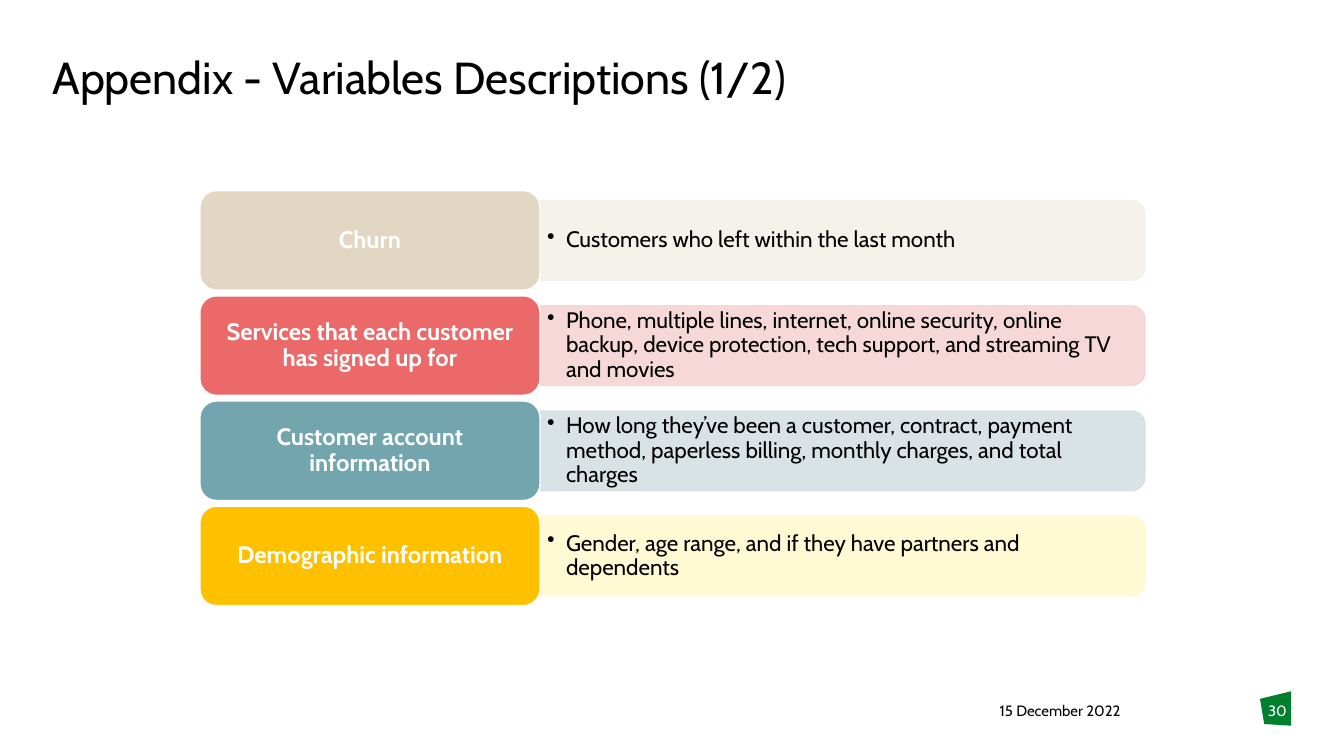
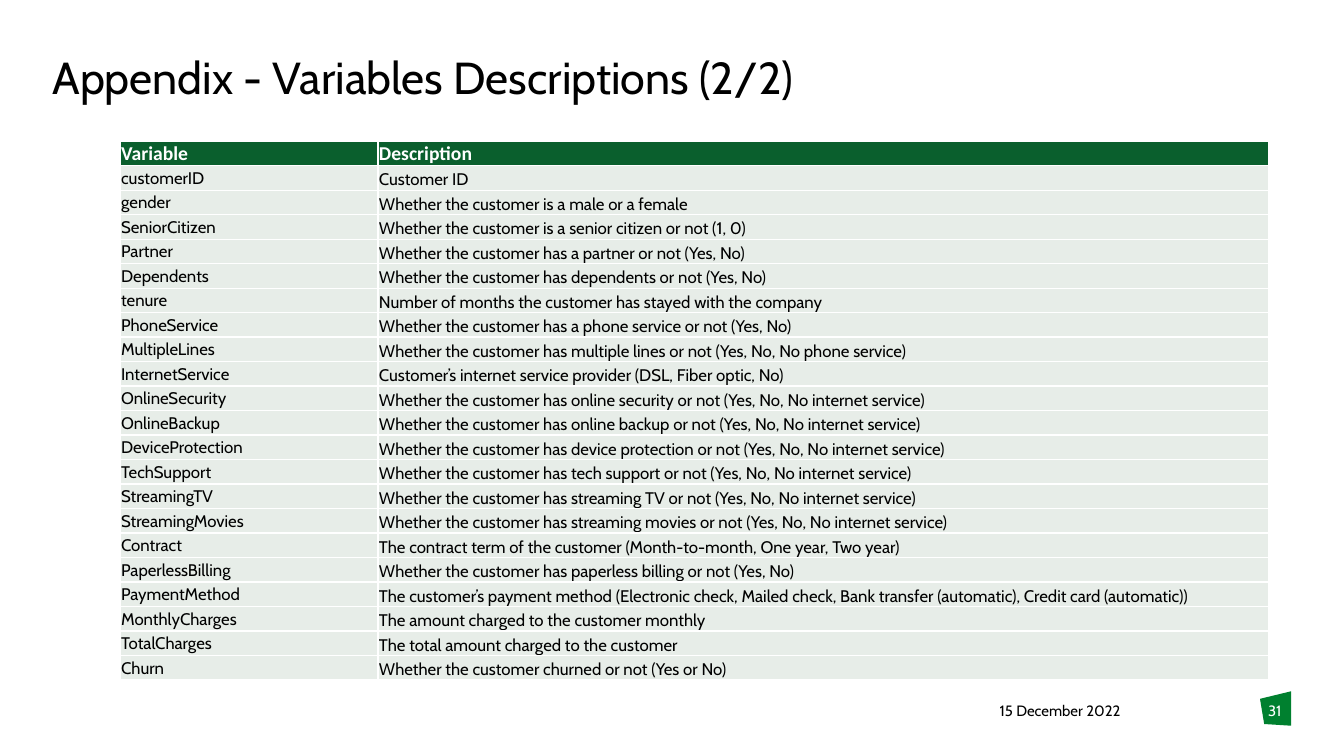
import lxml.etree
import pptx
import pptx.dml.color
import pptx.enum.shapes
import pptx.enum.text
import pptx.oxml.ns
import pptx.util

RGBColor = pptx.dml.color.RGBColor
Pt = pptx.util.Pt
qn = pptx.oxml.ns.qn
Align = pptx.enum.text.PP_ALIGN
Anchor = pptx.enum.text.MSO_ANCHOR
Preset = pptx.enum.shapes.MSO_SHAPE

BLACK = RGBColor(0x00, 0x00, 0x00)
WHITE = RGBColor(0xFF, 0xFF, 0xFF)
BADGE_GREEN = RGBColor(0x00, 0x80, 0x2F)
HEADER_GREEN = RGBColor(0x0A, 0x5F, 0x2D)
ROW_GREEN = RGBColor(0xE7, 0xED, 0xE8)
SAND = RGBColor(0xE1, 0xD7, 0xC3)
SAND_TINT = RGBColor(0xF4, 0xF0, 0xE9)
CORAL = RGBColor(0xEB, 0x69, 0x69)
CORAL_TINT = RGBColor(0xF7, 0xD4, 0xD4)
TEAL = RGBColor(0x73, 0xA5, 0xAF)
TEAL_TINT = RGBColor(0xD5, 0xE1, 0xE3)
AMBER = RGBColor(0xFF, 0xC0, 0x00)
AMBER_TINT = RGBColor(0xFF, 0xF9, 0xD0)

WIDTH, HEIGHT = pptx.util.Inches(13.33), pptx.util.Inches(7.5)
COLUMNS, ROWS = 160, 90
DATE = "15 December 2022"

GROUPS = [
    ("Churn", "Customers who left within the last month", SAND, SAND_TINT),
    ("Services that each customer has signed up for",
     "Phone, multiple lines, internet, online security, online backup, device protection, "
     "tech support, and streaming TV and movies", CORAL, CORAL_TINT),
    ("Customer account information",
     "How long they’ve been a customer, contract, payment method, paperless billing, "
     "monthly charges, and total charges", TEAL, TEAL_TINT),
    ("Demographic information",
     "Gender, age range, and if they have partners and dependents", AMBER, AMBER_TINT),
]

VARIABLES = [
    ("Variable", "Description"),
    ("customerID", "Customer ID"),
    ("gender", "Whether the customer is a male or a female"),
    ("SeniorCitizen", "Whether the customer is a senior citizen or not (1, 0)"),
    ("Partner", "Whether the customer has a partner or not (Yes, No)"),
    ("Dependents", "Whether the customer has dependents or not (Yes, No)"),
    ("tenure", "Number of months the customer has stayed with the company"),
    ("PhoneService", "Whether the customer has a phone service or not (Yes, No)"),
    ("MultipleLines", "Whether the customer has multiple lines or not (Yes, No, No phone service)"),
    ("InternetService", "Customer’s internet service provider (DSL, Fiber optic, No)"),
    ("OnlineSecurity", "Whether the customer has online security or not (Yes, No, No internet service)"),
    ("OnlineBackup", "Whether the customer has online backup or not (Yes, No, No internet service)"),
    ("DeviceProtection", "Whether the customer has device protection or not (Yes, No, No internet service)"),
    ("TechSupport", "Whether the customer has tech support or not (Yes, No, No internet service)"),
    ("StreamingTV", "Whether the customer has streaming TV or not (Yes, No, No internet service)"),
    ("StreamingMovies", "Whether the customer has streaming movies or not (Yes, No, No internet service)"),
    ("Contract", "The contract term of the customer (Month-to-month, One year, Two year)"),
    ("PaperlessBilling", "Whether the customer has paperless billing or not (Yes, No)"),
    ("PaymentMethod", "The customer’s payment method (Electronic check, Mailed check, "
     "Bank transfer (automatic), Credit card (automatic))"),
    ("MonthlyCharges", "The amount charged to the customer monthly"),
    ("TotalCharges", "The total amount charged to the customer"),
    ("Churn", "Whether the customer churned or not (Yes or No)"),
]


def across(columns):
    return round(WIDTH * columns / COLUMNS)


def down(rows):
    return round(HEIGHT * rows / ROWS)


def area(left, top, width, height):
    return across(left), down(top), across(width), down(height)


def margins(horizontal, vertical):
    return {"margin_left": across(horizontal), "margin_right": across(horizontal),
            "margin_top": down(vertical), "margin_bottom": down(vertical)}


def apply_format(target, values):
    for name, value in values.items():
        setattr(target, name, value)


class Deck:
    fonts = {
        "title": {"name": "Cabin", "size": Pt(32), "bold": False},
        "footer": {"name": "Cabin", "size": Pt(10.7), "bold": False},
        "tab": {"name": "Cabin", "size": Pt(17), "bold": True},
        "detail": {"name": "Cabin", "size": Pt(16), "bold": False},
        "header": {"name": "Calibri", "size": Pt(14), "bold": True},
        "body": {"name": "Cabin", "size": Pt(12), "bold": False},
    }
    paragraphs = {
        "title": {"alignment": Align.LEFT, "line_spacing": 0.9},
        "tab": {"alignment": Align.CENTER, "line_spacing": 0.9},
        "detail": {"alignment": Align.LEFT, "line_spacing": 0.9},
    }
    frames = {
        "title": {"vertical_anchor": Anchor.TOP, "word_wrap": True,
                  "auto_size": pptx.enum.text.MSO_AUTO_SIZE.NONE, **margins(0, 0)},
        "footer": {"vertical_anchor": Anchor.TOP, "word_wrap": True, **margins(0, 0)},
        "tab": {"vertical_anchor": Anchor.MIDDLE, "word_wrap": True, **margins(1.4, 1)},
        "detail": {"vertical_anchor": Anchor.MIDDLE, "word_wrap": True, **margins(0.84, 0.4)},
    }

    def __init__(self):
        self.presentation = pptx.Presentation()
        apply_format(self.presentation, {"slide_width": WIDTH, "slide_height": HEIGHT})
        self.slide = None

    def fill_text(self, frame, text, style, color=BLACK):
        apply_format(frame, self.frames.get(style, {}))
        paragraph = frame.paragraphs[0]
        apply_format(paragraph, self.paragraphs.get(style, {}))
        run = paragraph.add_run()
        run.text = text
        apply_format(run.font, self.fonts[style])
        run.font.color.rgb = color
        return paragraph

    def add_slide(self, title, number):
        self.slide = self.presentation.slides.add_slide(self.presentation.slide_layouts[5])
        placeholder = self.slide.shapes.title
        place = zip(("left", "top", "width", "height"), area(6.24, 6.6, 147.5, 10.7))
        apply_format(placeholder, dict(place))
        self.fill_text(placeholder.text_frame, title, "title")
        self.badge()
        self.text(DATE, "footer", (119, 83.5, 20.6, 3.2))
        self.text(str(number), "footer", (150.96, 83.5, 3.2, 3.2), WHITE)

    def badge(self):
        corners = [(across(x), down(y)) for x, y in
                   ((150, 83.2), (153.7, 82.3), (153.7, 86.4), (150.5, 86.2))]
        builder = self.slide.shapes.build_freeform(*corners[0])
        builder.add_line_segments(corners[1:], close=True)
        shape = builder.convert_to_shape()
        self.paint(shape, BADGE_GREEN)
        shape.line.fill.background()

    def paint(self, shape, fill, line=None):
        shape.shadow.inherit = False
        shape.fill.solid()
        shape.fill.fore_color.rgb = fill
        shape.line.color.rgb = line or fill
        shape.line.width = Pt(1)

    def text(self, text, style, place, color=BLACK):
        box = self.slide.shapes.add_textbox(*area(*place))
        return self.fill_text(box.text_frame, text, style, color)

    def tab(self, text, place, color):
        shape = self.slide.shapes.add_shape(Preset.ROUNDED_RECTANGLE, *area(*place))
        self.paint(shape, color, WHITE)
        self.fill_text(shape.text_frame, text, "tab", WHITE)

    def panel(self, place, color):
        left, top, width, height = area(*place)
        shape = self.slide.shapes.add_shape(
            Preset.ROUND_2_SAME_RECTANGLE, left + (width - height) // 2,
            top + (height - width) // 2, height, width)
        shape.rotation = 90
        self.paint(shape, color)
        for tint in shape.element.spPr.iter(qn("a:srgbClr")):
            lxml.etree.SubElement(tint, qn("a:alpha"), val="90000")

    def bullet(self, text, place):
        paragraph = self.text(text, "detail", place)
        properties = paragraph._p.get_or_add_pPr()
        indent = across(2.25)
        properties.set("marL", str(indent))
        properties.set("indent", str(-indent))
        lxml.etree.SubElement(properties, qn("a:buChar"), char="•")

    def borders(self, cell):
        properties = cell._tc.get_or_add_tcPr()
        for side in ("L", "R", "T", "B"):
            line = lxml.etree.SubElement(properties, qn("a:ln" + side), w=str(int(Pt(1))))
            fill = lxml.etree.SubElement(line, qn("a:solidFill"))
            lxml.etree.SubElement(fill, qn("a:srgbClr"), val=str(WHITE))

    def table(self, records, place, widths):
        frame = self.slide.shapes.add_table(len(records), len(widths), *area(*place))
        table = frame.table
        table.horz_banding = False
        for column, width in zip(table.columns, widths):
            column.width = across(width)
        for row_index, record in enumerate(records):
            style, color, fill = (("body", BLACK, ROW_GREEN) if row_index
                                  else ("header", WHITE, HEADER_GREEN))
            for cell, text, anchor in zip(table.rows[row_index].cells, record,
                                          (Anchor.MIDDLE, Anchor.BOTTOM)):
                self.borders(cell)
                apply_format(cell, {**margins(0.12, 0.12), "margin_bottom": 0,
                                    "vertical_anchor": anchor})
                cell.fill.solid()
                cell.fill.fore_color.rgb = fill
                self.fill_text(cell.text_frame, text, style, color)


def main():
    deck = Deck()

    deck.add_slide("Appendix - Variables Descriptions (1/2)", 30)
    tab_left, tab_width, tab_height = 23.8, 40.5, 11.85
    panel_left, panel_width, panel_height = tab_left + tab_width, 72, 9.48
    first_top, pitch = 22.7, 12.52
    for index, (name, description, color, tint) in enumerate(GROUPS):
        top = first_top + index * pitch
        place = (panel_left, top + (tab_height - panel_height) / 2, panel_width, panel_height)
        deck.panel(place, tint)
        deck.bullet(description, place)
        deck.tab(name, (tab_left, top, tab_width, tab_height), color)

    deck.add_slide("Appendix - Variables Descriptions (2/2)", 31)
    widths = (30.7, 106)
    deck.table(VARIABLES, (14.3, 16.8, sum(widths), 64.2), widths)

    deck.presentation.save("out.pptx")


if __name__ == "__main__":
    main()
